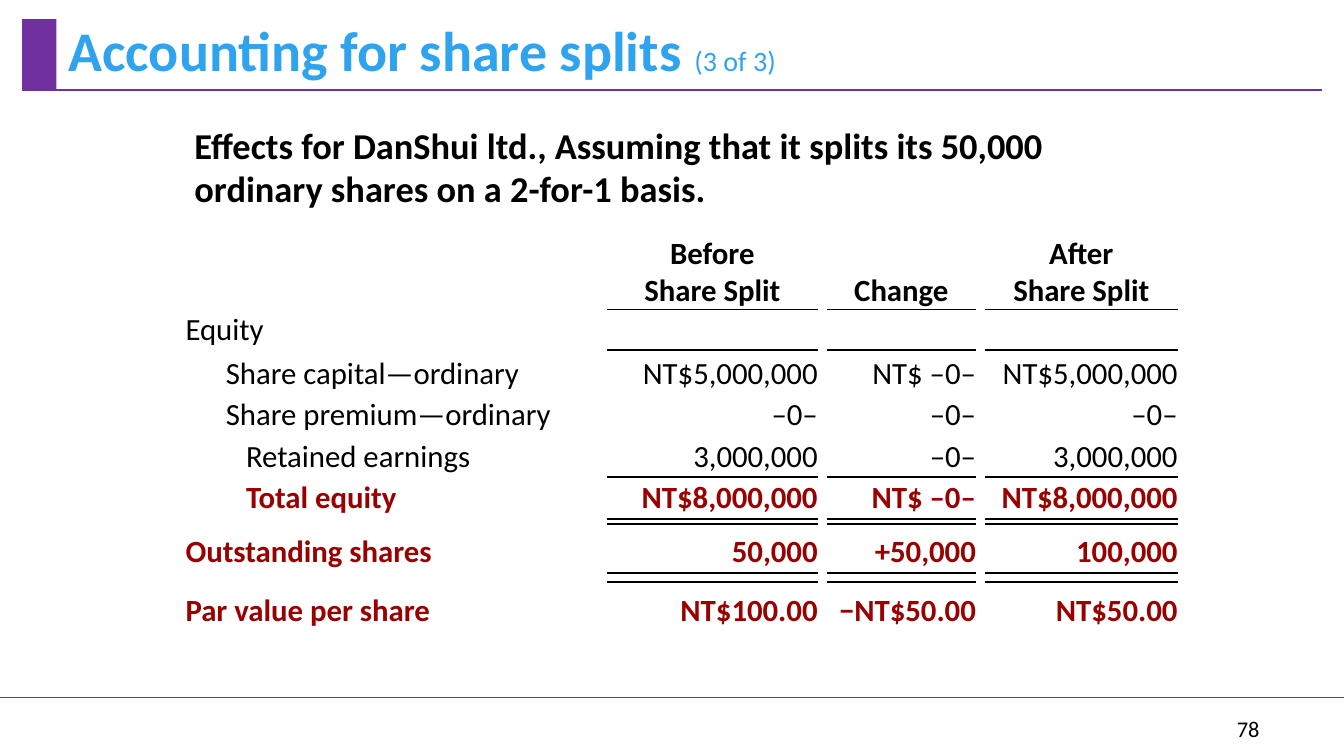
from lxml import etree
from pptx import Presentation
from pptx.dml.color import RGBColor
from pptx.enum.shapes import MSO_CONNECTOR, MSO_SHAPE
from pptx.enum.text import MSO_ANCHOR, PP_ALIGN
from pptx.oxml.ns import qn
from pptx.util import Inches, Pt

PURPLE = RGBColor(0x70, 0x30, 0xA0)
BLUE = RGBColor(0x2F, 0xA3, 0xEE)
RED = RGBColor(0x99, 0x00, 0x00)
BLACK = RGBColor(0x00, 0x00, 0x00)
LEFT, CENTER, RIGHT = PP_ALIGN.LEFT, PP_ALIGN.CENTER, PP_ALIGN.RIGHT
MIDDLE, BOTTOM, TOP = MSO_ANCHOR.MIDDLE, MSO_ANCHOR.BOTTOM, MSO_ANCHOR.TOP
STRAIGHT, RECT = MSO_CONNECTOR.STRAIGHT, MSO_SHAPE.RECTANGLE
NO_STYLE = "{2D5ABB26-0587-4C30-8999-92F81FD0307C}"

COLUMNS = [4.18, 2.09, 0.09, 1.48, 0.09, 1.91]
VALUE_COLUMNS = [1, 3, 5]
HEADERS = [["Before", "Share Split"], ["Change"], ["After", "Share Split"]]
HEADER_HEIGHT = 0.74
# height, label, indent, values, emphasised, top inset, rule below
ROWS = [
    (0.40, "Equity", 0, [], False, 0.02, False),
    (0.44, "Share capital—ordinary", 0.4,
     ["NT$5,000,000", "NT$ –0–", "NT$5,000,000"], False, 0.02, False),
    (0.41, "Share premium—ordinary", 0.4, ["–0–", "–0–", "–0–"], False, 0.02, False),
    (0.41, "Retained earnings", 0.6,
     ["3,000,000", "–0–", "3,000,000"], False, 0.02, True),
    (0.41, "Total equity", 0.6,
     ["NT$8,000,000", "NT$ –0–", "NT$8,000,000"], True, 0.02, True),
    (0.05, "", 0, [], False, 0, True),
    (0.49, "Outstanding shares", 0, ["50,000", "+50,000", "100,000"], True, 0.1, True),
    (0.09, "", 0, [], False, 0, True),
    (0.49, "Par value per share", 0,
     ["NT$100.00", "−NT$50.00", "NT$50.00"], True, 0.1, False),
]


class SlideBuilder:
    def __init__(self, slide, font="Calibri"):
        self.slide = slide
        self.font = font

    def run(self, p, text, size, color=BLACK, bold=False):
        r = p.add_run()
        r.text = text
        r.font.name = self.font
        r.font.size = Pt(size)
        r.font.bold = bold
        r.font.color.rgb = color

    def place(self, sp, left, top, width, height, anchor):
        sp.left, sp.top = Inches(left), Inches(top)
        sp.width, sp.height = Inches(width), Inches(height)
        tf = sp.text_frame
        tf.word_wrap = True
        tf.vertical_anchor = anchor
        return tf.paragraphs[0]

    def title(self, box, runs):
        p = self.place(self.slide.shapes.title, *box, MIDDLE)
        p.alignment = LEFT
        p.line_spacing = 0.9
        for run in runs:
            self.run(p, *run)

    def text(self, box, text, size, bold=False, align=LEFT, anchor=TOP):
        sp = self.slide.shapes.add_textbox(0, 0, 0, 0)
        p = self.place(sp, *box, anchor)
        p.alignment = align
        self.run(p, text, size, bold=bold)

    def rect(self, box, color):
        sp = self.slide.shapes.add_shape(RECT, *map(Inches, box))
        sp.shadow.inherit = False
        sp.fill.solid()
        sp.fill.fore_color.rgb = color
        sp.line.fill.background()

    def rule(self, x1, x2, y, color, width):
        line = self.slide.shapes.add_connector(
            STRAIGHT, Inches(x1), Inches(y), Inches(x2), Inches(y))
        line.line.color.rgb = color
        line.line.width = Pt(width)
        etree.SubElement(line._element.spPr, qn("a:effectLst"))

    def table(self, left, top, columns, heights):
        frame = self.slide.shapes.add_table(
            len(heights), len(columns), Inches(left), Inches(top),
            Inches(sum(columns)), Inches(sum(heights)))
        table = frame.table
        table.first_row = table.horz_banding = False
        table._tbl.tblPr.find(qn("a:tableStyleId")).text = NO_STYLE
        for column, width in zip(table.columns, columns):
            column.width = Inches(width)
        for row, height in zip(table.rows, heights):
            row.height = Inches(height)
        return table

    def cell(self, cell, lines, align=LEFT, insets=(0, 0, 0, 0),
             color=BLACK, bold=False, borders=()):
        cell.margin_left, cell.margin_top, cell.margin_right, cell.margin_bottom = (
            map(Inches, insets))
        cell.vertical_anchor = BOTTOM
        tf = cell.text_frame
        for i, line in enumerate(lines):
            p = tf.add_paragraph() if i else tf.paragraphs[0]
            p.alignment = align
            self.run(p, line, 22, color, bold)
        if not lines:  # a tiny font lets the spacer rows stay thin
            etree.SubElement(tf.paragraphs[0]._p, qn("a:endParaRPr"), sz="100")
        tc_pr = cell._tc.get_or_add_tcPr()
        for side in borders:
            ln = etree.SubElement(tc_pr, qn("a:" + side), w=str(Pt(1.5)))
            fill = etree.SubElement(ln, qn("a:solidFill"))
            etree.SubElement(fill, qn("a:srgbClr"), val=str(BLACK))
        cell.fill.background()


def main():
    prs = Presentation()
    prs.slide_width, prs.slide_height = Inches(13.33), Inches(7.5)
    s = SlideBuilder(prs.slides.add_slide(prs.slide_layouts[5]))

    # Frame and title
    s.rule(0, 13.33, 6.92, PURPLE, 1)
    s.rule(0.22, 13.11, 0.89, PURPLE, 1.25)
    s.rect((0.22, 0.19, 0.34, 0.71), PURPLE)
    s.title((0.58, 0.17, 9.49, 0.71),
            [("Accounting for share splits ", 40, BLUE, True), ("(3 of 3)", 20, BLUE)])

    # Introduction and page number
    s.text((1.83, 1.17, 9.42, 0.97),
           "Effects for DanShui ltd., Assuming that it splits its 50,000 "
           "ordinary shares on a 2-for-1 basis.", 26, bold=True)
    s.text((11.75, 7.03, 0.84, 0.4), "78", 16, align=RIGHT, anchor=MIDDLE)

    # Table header
    table = s.table(1.84, 2.33, COLUMNS, [HEADER_HEIGHT] + [row[0] for row in ROWS])
    for c in range(len(COLUMNS)):
        if c in VALUE_COLUMNS:
            s.cell(table.cell(0, c), HEADERS[VALUE_COLUMNS.index(c)], CENTER,
                   bold=True, borders=["lnB"])
        else:
            s.cell(table.cell(0, c), [])

    # Table body
    rule_above = True
    for i, (_, label, indent, values, strong, inset, rule_below) in enumerate(ROWS, 1):
        look = {"color": RED if strong else BLACK, "bold": strong}
        bottom = 0.02 if label else 0
        borders = ["lnT"] * rule_above + ["lnB"] * rule_below
        texts = dict(zip(VALUE_COLUMNS, values))
        s.cell(table.cell(i, 0), [label] if label else [],
               insets=(indent, inset, 0.1, bottom), **look)
        for c in range(1, len(COLUMNS)):
            s.cell(table.cell(i, c), [texts[c]] if c in texts else [], RIGHT,
                   (0, inset, 0, bottom),
                   borders=borders if c in VALUE_COLUMNS else (), **look)
        rule_above = rule_below

    prs.save("out.pptx")


if __name__ == "__main__":
    main()
